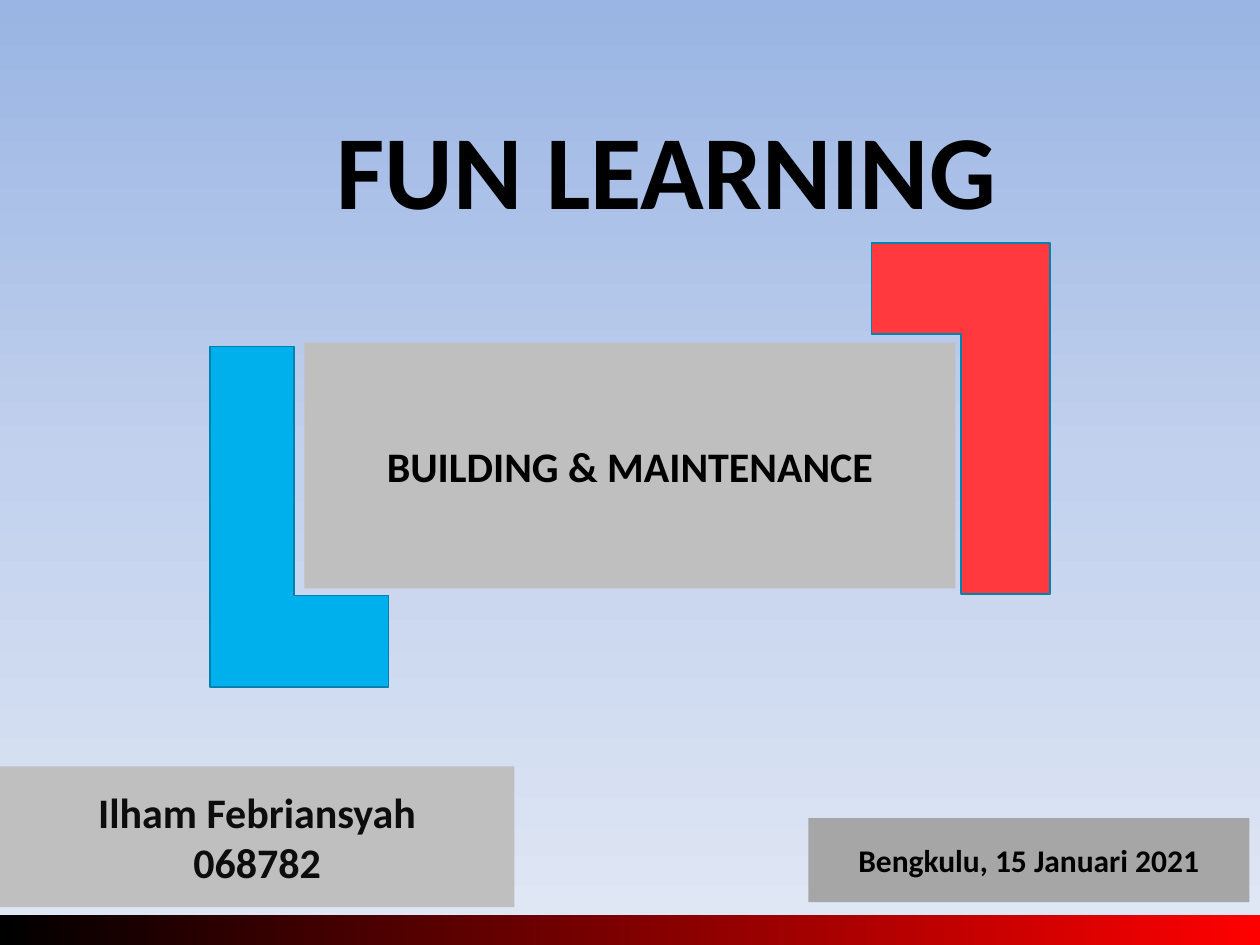
import pptx
import pptx.util
import lxml.etree
from dataclasses import dataclass
from pptx.dml.color import RGBColor
from pptx.enum.shapes import MSO_SHAPE
from pptx.enum.text import MSO_ANCHOR, MSO_AUTO_SIZE, PP_ALIGN
from pptx.oxml.ns import qn

Pt = pptx.util.Pt


@dataclass(frozen=True)
class Theme:
    font: str = "Calibri"
    black: str = "000000"
    ink: str = "0D0D0D"
    panel: str = "BFBFBF"
    date_panel: str = "A6A6A6"
    blue: str = "00B0EC"
    red: str = "FF393E"
    outline: str = "0082AF"
    sky: tuple = ((0, "9AB5E4"), (50, "C2D1ED"), (100, "E1E8F5"))
    footer: tuple = ((0, "000000"), (100, "FF0000"))
    title_size: int = 60
    heading_size: int = 24
    date_size: int = 18


def set_text(sp, text, *, size, color, font, bold=True):
    """Fill a shape with centred text, one paragraph per line."""
    tf = sp.text_frame
    tf.word_wrap = True
    tf.auto_size = MSO_AUTO_SIZE.NONE
    tf.vertical_anchor = MSO_ANCHOR.MIDDLE
    for i, line in enumerate(text.split("\n")):
        p = tf.add_paragraph() if i else tf.paragraphs[0]
        p.alignment = PP_ALIGN.CENTER
        r = p.add_run()
        r.text = line
        r.font.name, r.font.size, r.font.bold = font, Pt(size), bold
        r.font.color.rgb = RGBColor.from_string(color)


def set_gradient(fill, element, stops, angle):
    """Apply (percent, colour) stops; angle runs counter-clockwise."""
    fill.gradient()
    fill.gradient_angle = angle
    gs_list = element.find(".//" + qn("a:gsLst"))
    for gs in list(gs_list):
        gs_list.remove(gs)
    for percent, color in stops:
        gs = lxml.etree.SubElement(gs_list, qn("a:gs"), pos=str(percent * 1000))
        lxml.etree.SubElement(gs, qn("a:srgbClr"), val=color)


class SlideBuilder:
    def __init__(self, prs, theme):
        self.theme = theme
        self.s = prs.slides.add_slide(prs.slide_layouts[5])

    def background(self, stops):
        set_gradient(self.s.background.fill, self.s.element, stops, 270)

    def title(self, text, x, y, w, h):
        sp = self.s.shapes.title
        sp.left, sp.top, sp.width, sp.height = map(Pt, (x, y, w, h))
        set_text(sp, text, size=self.theme.title_size,
                 color=self.theme.black, font=self.theme.font)

    def shape(self, kind, x, y, w, h):
        sp = self.s.shapes.add_shape(kind, *map(Pt, (x, y, w, h)))
        sp.shadow.inherit = False
        sp.line.fill.background()
        return sp

    def panel(self, text, x, y, w, h, fill, size, color):
        sp = self.shape(MSO_SHAPE.RECTANGLE, x, y, w, h)
        sp.fill.solid()
        sp.fill.fore_color.rgb = RGBColor.from_string(fill)
        set_text(sp, text, size=size, color=color, font=self.theme.font)

    def bar(self, x, y, w, h, stops):
        sp = self.shape(MSO_SHAPE.RECTANGLE, x, y, w, h)
        set_gradient(sp.fill, sp.element, stops, 0)

    def corner(self, x, y, w, h, fill, arms, rotation=0):
        sp = self.shape(MSO_SHAPE.CORNER, x, y, w, h)
        for i, arm in enumerate(arms):
            sp.adjustments[i] = arm
        sp.rotation = rotation
        sp.fill.solid()
        sp.fill.fore_color.rgb = RGBColor.from_string(fill)
        sp.line.color.rgb = RGBColor.from_string(self.theme.outline)
        sp.line.width = Pt(1)


def main():
    prs = pptx.Presentation()
    prs.slide_width, prs.slide_height = Pt(720), Pt(540)
    t = Theme()
    b = SlideBuilder(prs, t)
    b.background(t.sky)
    b.title("FUN LEARNING", 102, 72, 558, 48)
    b.panel("BUILDING & MAINTENANCE", 174, 195.8, 372, 140.4,
            t.panel, t.heading_size, t.black)
    b.bar(0, 523, 720, 17, t.footer)
    b.panel("Ilham Febriansyah\n068782", 0, 438, 294, 80.4,
            t.panel, t.heading_size, t.ink)
    b.corner(120, 198, 102, 194.4, t.blue, (0.51, 0.47))
    b.corner(498, 139, 102, 200.6, t.red, (0.51, 0.5), rotation=180)
    b.panel("Bengkulu, 15 Januari 2021", 462, 467.5, 252, 48,
            t.date_panel, t.date_size, t.black)
    prs.save("out.pptx")


if __name__ == "__main__":
    main()
